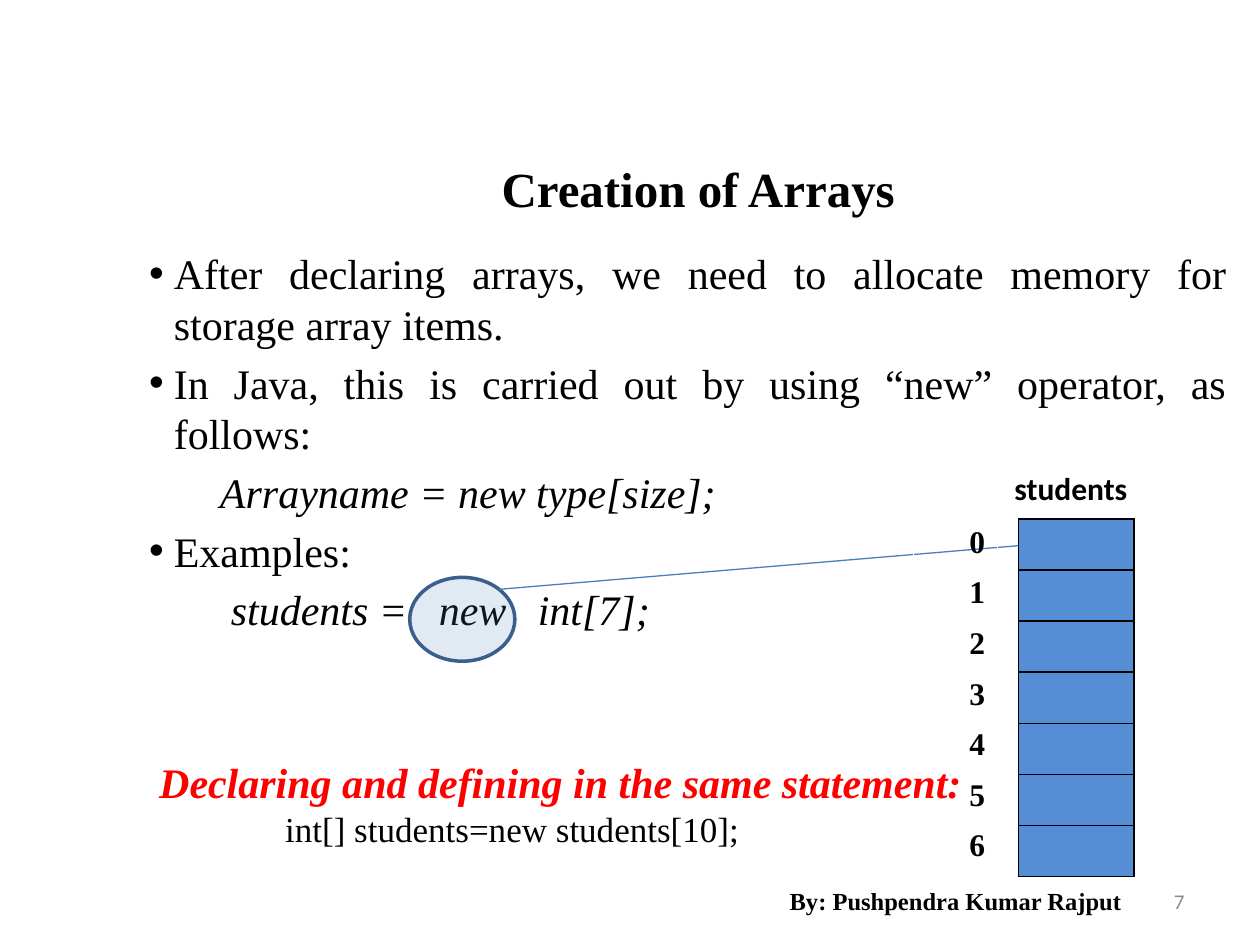
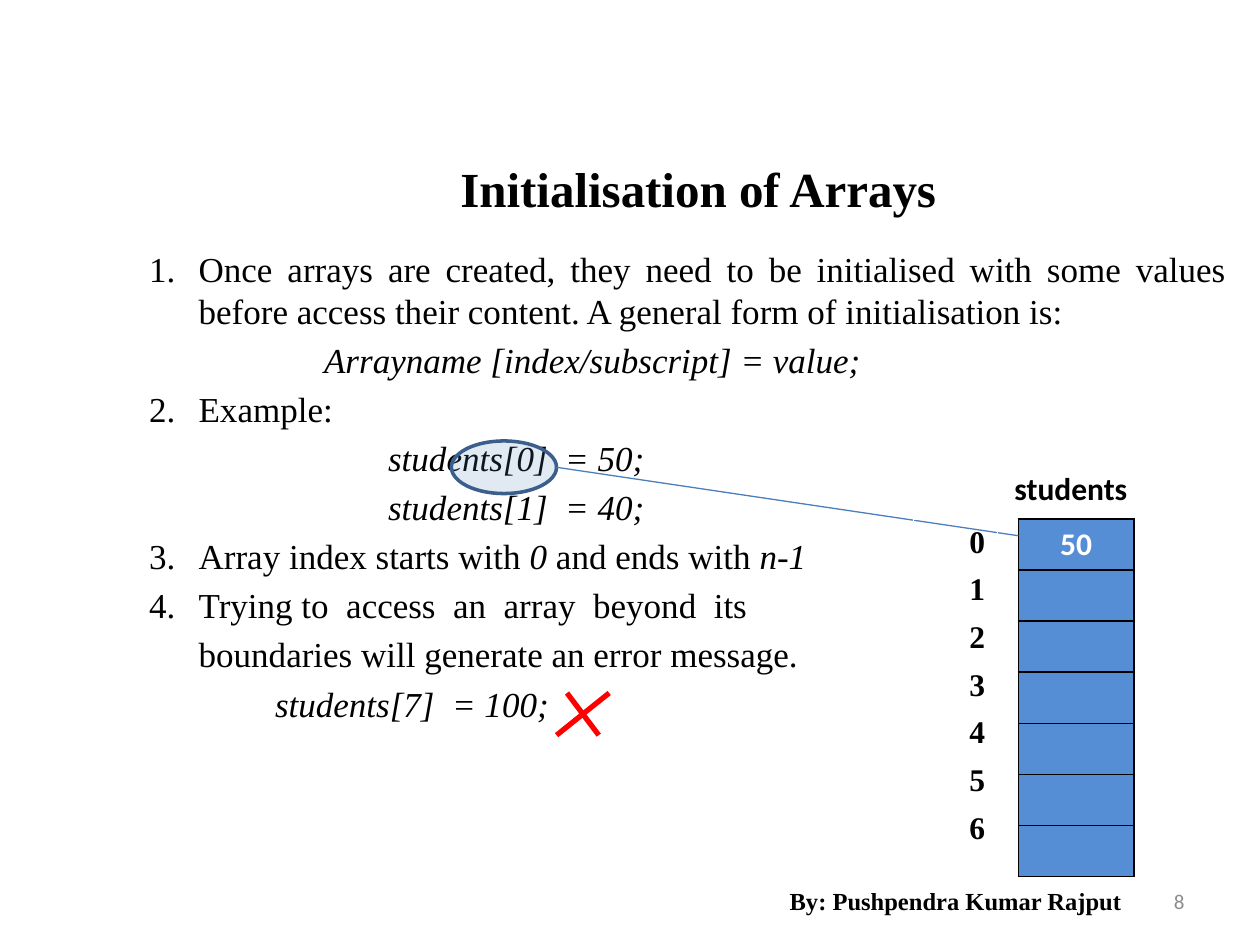
import pptx
import pptx.dml.color
import pptx.enum.shapes
import pptx.enum.text
import pptx.oxml
import pptx.oxml.ns
import pptx.util
from lxml import etree

Cm = pptx.util.Cm
Pt = pptx.util.Pt
RGBColor = pptx.dml.color.RGBColor
ALIGN = pptx.enum.text.PP_ALIGN
ANCHOR = pptx.enum.text.MSO_ANCHOR
qn = pptx.oxml.ns.qn

# Shared look
BLACK = RGBColor(0x00, 0x00, 0x00)
WHITE = RGBColor(0xFF, 0xFF, 0xFF)
GREY = RGBColor(0x8C, 0x8C, 0x8C)
RED = RGBColor(0xFF, 0x00, 0x00)
CELL_BLUE = RGBColor(0x55, 0x8E, 0xD5)
RING_FILL = RGBColor(0x4F, 0x81, 0xBD)
RING_LINE = RGBColor(0x3A, 0x5F, 0x8C)
POINTER_BLUE = RGBColor(0x4B, 0x7E, 0xBC)
SERIF = "Times New Roman"
SANS = "Calibri"

ARRAY_LENGTH = 7
TABLE_TOP = 10.46
ARRAY_LEFT = 20.53
AUTHOR = "By: Pushpendra Kumar Rajput"

# Body lists: (marker, left indent in cm, [(text, italic), ...])
# The marker is "•", a list number, or None for a plain line.
CREATION_LINES = [
    ("•", 0.5, [("After declaring arrays, we need to allocate memory for "
                 "storage array items.", False)]),
    ("•", 0.5, [("In Java, this is carried out by using “new” operator, "
                 "as follows:", False)]),
    (None, 1.43, [("Arrayname = new type[size];", True)]),
    ("•", 0.5, [("Examples:", False)]),
    (None, 1.65, [("students =   new   int[7];", True)]),
]
INITIALISATION_LINES = [
    (1, 1, [("Once arrays are created, they need to be initialised with some "
             "values before access their content. A general form of "
             "initialisation is:", False)]),
    (None, 3.53, [("Arrayname [index/subscript] = value;", True)]),
    (2, 1, [("Example:", False)]),
    (None, 4.82, [("students[0]  = 50;", True)]),
    (None, 4.82, [("students[1]  = 40;", True)]),
    (3, 1, [("Array index starts with ", False), ("0", True),
            (" and ends with ", False), ("n-1", True)]),
    (4, 1, [("Trying to  access  an  array  beyond  its", False)]),
    (None, 1, [("boundaries will generate an error message.", False)]),
    (None, 2.54, [("students[7]  = 100;", True)]),
]


def place(shape, left, top, width, height):
    shape.left, shape.top = Cm(left), Cm(top)
    shape.width, shape.height = Cm(width), Cm(height)


def add_span(para, text, size, font=SERIF, color=BLACK, bold=False, italic=False):
    span = para.add_run()
    span.text = text
    span.font.name = font
    span.font.size = Pt(size)
    span.font.color.rgb = color
    span.font.bold = bold
    span.font.italic = italic


def add_text_box(page, left, top, width, height, anchor=ANCHOR.MIDDLE):
    box = page.shapes.add_textbox(Cm(left), Cm(top), Cm(width), Cm(height))
    box.text_frame.word_wrap = True
    box.text_frame.vertical_anchor = anchor
    return box.text_frame


def add_label(page, bounds, text, size, align=ALIGN.CENTER, **style):
    para = add_text_box(page, *bounds).paragraphs[0]
    para.alignment = align
    add_span(para, text, size, **style)


def set_indent(para, left, hanging=0):
    properties = para._p.get_or_add_pPr()
    properties.set("marL", str(Cm(left)))
    properties.set("indent", str(-Cm(hanging)))
    return properties


def set_title(page, text):
    title = page.shapes.title
    place(title, 4.23, 2.96, 19.69, 1.48)
    frame = title.text_frame
    frame.auto_size = pptx.enum.text.MSO_AUTO_SIZE.NONE
    frame.vertical_anchor = ANCHOR.TOP
    para = frame.paragraphs[0]
    para.alignment = ALIGN.CENTER
    para.line_spacing = 1.1
    para.space_before = Pt(0)
    add_span(para, text, 28, bold=True)


def set_list(page, lines, size):
    body = page.placeholders[1]
    place(body, 2.75, 4.87, 22.23, 12.7)
    frame = body.text_frame
    frame.auto_size = pptx.enum.text.MSO_AUTO_SIZE.NONE
    for number, (marker, left, spans) in enumerate(lines):
        para = frame.add_paragraph() if number else frame.paragraphs[0]
        para.alignment = ALIGN.JUSTIFY
        if number == 0:
            para.space_before = Pt(0)
        properties = set_indent(para, left, left if marker else 0)
        if marker is None:
            etree.SubElement(properties, qn("a:buNone"))
        elif marker == "•":
            etree.SubElement(properties, qn("a:buChar"), char=marker)
        else:
            etree.SubElement(properties, qn("a:buAutoNum"),
                             type="arabicPeriod", startAt=str(marker))
        for text, italic in spans:
            add_span(para, text, size, italic=italic)


def set_borders(cell, color):
    properties = cell._tc.get_or_add_tcPr()
    for side in ("lnL", "lnR", "lnT", "lnB"):
        line = etree.SubElement(properties, qn("a:" + side), w=str(Pt(1)))
        fill = etree.SubElement(line, qn("a:solidFill"))
        etree.SubElement(fill, qn("a:srgbClr"), val=str(color))


def add_column(page, left, width, row_height, border, fill=None):
    """Add a one-column table with one row for each array item."""
    table = page.shapes.add_table(
        ARRAY_LENGTH, 1, Cm(left), Cm(TABLE_TOP), Cm(width),
        Cm(row_height * ARRAY_LENGTH)).table
    table.first_row = table.horz_banding = False
    for row in table.rows:
        row.height = Cm(row_height)
        cell = row.cells[0]
        cell.margin_bottom = 0
        set_borders(cell, border)
        if fill is None:
            cell.fill.background()
        else:
            cell.fill.solid()
            cell.fill.fore_color.rgb = fill
    return table


def write_cell(table, row, text, align, **style):
    para = table.cell(row, 0).text_frame.paragraphs[0]
    para.alignment = align
    add_span(para, text, 18, bold=True, **style)


def add_array(page, values=()):
    table = add_column(page, ARRAY_LEFT, 2.33, 1.03, BLACK, CELL_BLUE)
    for row, value in enumerate(values):
        write_cell(table, row, value, ALIGN.CENTER, font=SANS, color=WHITE)
    add_label(page, (20.11, 9.31, 2.96, 1.06), "students", 18,
              font=SANS, bold=True)


def add_indexes(page, row_height):
    table = add_column(page, 18.42, 1.69, row_height, WHITE)
    for index in range(ARRAY_LENGTH):
        write_cell(table, index, str(index), ALIGN.RIGHT)


def add_ring(page, left, top, width, height):
    ring = page.shapes.add_shape(
        pptx.enum.shapes.MSO_SHAPE.OVAL, Cm(left), Cm(top), Cm(width), Cm(height))
    ring.shadow.inherit = False
    ring.fill.solid()
    ring.fill.fore_color.rgb = RING_FILL
    color = ring._element.spPr.find(qn("a:solidFill"))[0]
    etree.SubElement(color, qn("a:alpha"), val="17000")
    ring.line.color.rgb = RING_LINE
    ring.line.width = Pt(2)


def add_line(page, start, end, color=POINTER_BLUE, width=0.75):
    line = page.shapes.add_connector(
        pptx.enum.shapes.MSO_CONNECTOR.STRAIGHT,
        Cm(start[0]), Cm(start[1]), Cm(end[0]), Cm(end[1]))
    line.line.color.rgb = color
    line.line.width = Pt(width)
    etree.SubElement(line._element.spPr, qn("a:effectLst"))


def add_page(deck, number, title, lines, size):
    page = deck.slides.add_slide(deck.slide_layouts[1])
    set_title(page, title)
    set_list(page, lines, size)
    add_label(page, (18.21, 17.65, 5.92, 1.02), str(number), 12,
              align=ALIGN.RIGHT, font=SANS, color=GREY)
    add_label(page, (15.24, 17.65, 8.05, 1.02), AUTHOR, 14, bold=True)
    return page


def add_creation_page(deck):
    page = add_page(deck, 7, "Creation of Arrays", CREATION_LINES, 24)
    add_array(page)
    add_ring(page, 8.26, 11.64, 2.12, 1.69)
    add_line(page, (10.06, 11.88), (ARRAY_LEFT, 11))
    # Declaration and definition together
    frame = add_text_box(page, 2.96, 15.13, 17.15, 2.14, ANCHOR.TOP)
    add_span(frame.paragraphs[0], "Declaring and defining in the same statement:",
             24, color=RED, bold=True, italic=True)
    statement = frame.add_paragraph()
    set_indent(statement, 2.54)
    add_span(statement, "int[] students=new students[10];", 20)
    add_indexes(page, 1.02)


def add_initialisation_page(deck):
    page = add_page(deck, 8, "Initialisation of Arrays", INITIALISATION_LINES, 20)
    add_array(page, ["50"])
    add_ring(page, 9.1, 8.89, 2.12, 1.06)
    add_line(page, (11.22, 9.42), (ARRAY_LEFT, 10.8))
    # Red cross beside the invalid access
    for start, end in (((12.28, 13.97), (11.22, 14.82)),
                       ((11.43, 13.97), (12.07, 14.82))):
        add_line(page, start, end, RED, 3)
    add_indexes(page, 0.96)


def main():
    deck = pptx.Presentation()
    deck.slide_width, deck.slide_height = Cm(25.4), Cm(19.05)
    add_creation_page(deck)
    add_initialisation_page(deck)
    deck.save("out.pptx")


if __name__ == "__main__":
    main()
